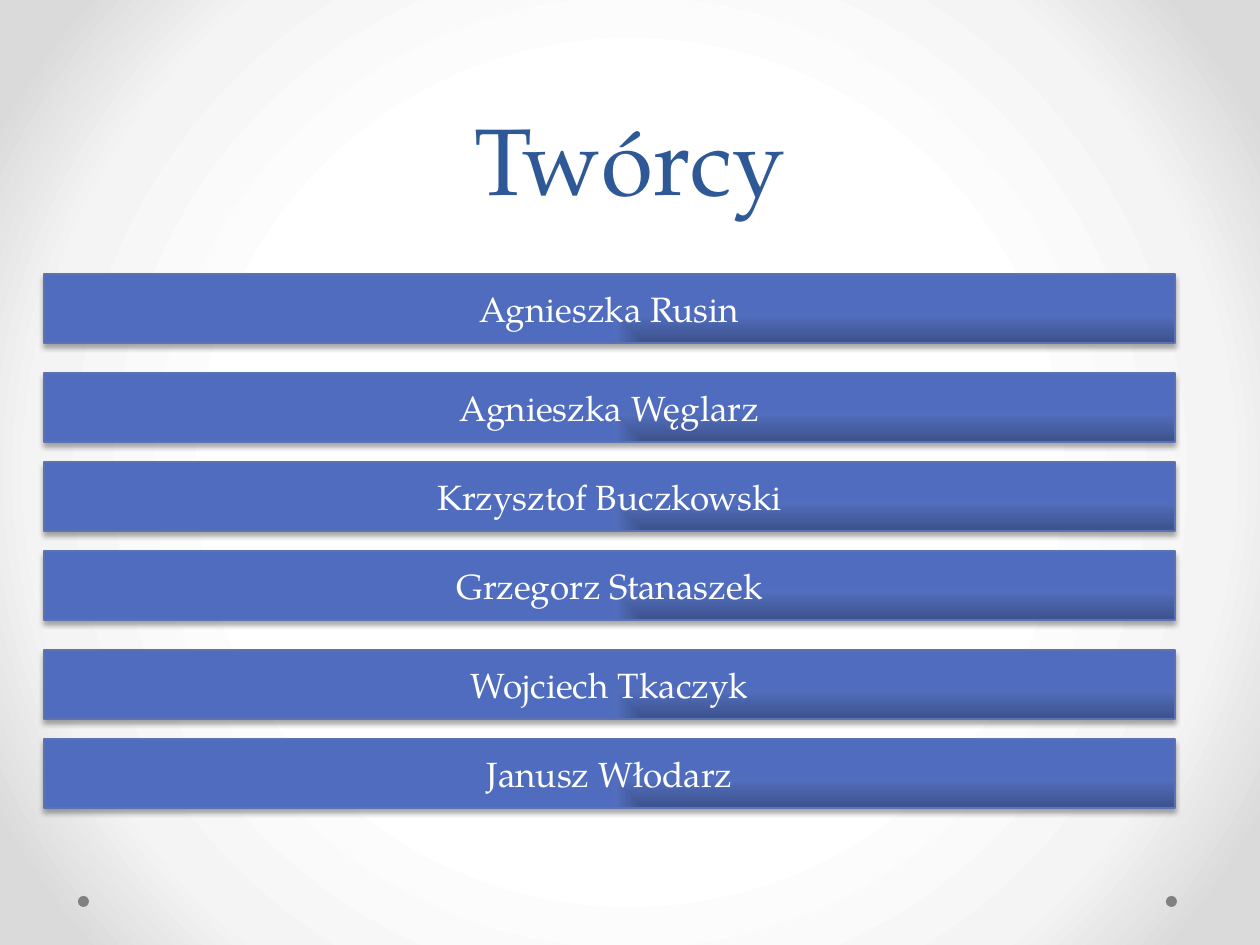
from lxml import etree
from pptx import Presentation
from pptx.dml.color import RGBColor
from pptx.enum.shapes import MSO_SHAPE
from pptx.enum.text import MSO_ANCHOR, PP_ALIGN
from pptx.oxml.ns import qn
from pptx.util import Emu, Pt

SCALE = 914400 // 126


def px(length):
    return Emu(length * SCALE)


def rgb(value):
    return RGBColor.from_string(value)


def child(parent, tag, **attributes):
    return etree.SubElement(parent, qn(tag), {k: str(v) for k, v in attributes.items()})


class Deck:
    FONT = "TeX Gyre Pagella"
    BACKDROP = [(50, "FFFFFF"), (76, "F4F4F4"), (92, "DADADA")]
    BAR = [(7, "3E5490"), (80, "516DBB"), (100, "4F6CBE")]

    def __init__(self):
        self.prs = Presentation()
        self.prs.slide_width, self.prs.slide_height = px(1260), px(945)
        self.slide = self.prs.slides.add_slide(self.prs.slide_layouts[5])

    def gradient(self, fill, owner, stops, path, focus):
        fill.gradient()
        grad = owner.find(".//" + qn("a:gradFill"))
        for old in list(grad):
            grad.remove(old)
        stop_list = child(grad, "a:gsLst")
        for position, color in stops:
            stop = child(stop_list, "a:gs", pos=position * 1000)
            child(stop, "a:srgbClr", val=color)
        path_node = child(grad, "a:path", path=path)
        child(path_node, "a:fillToRect", **{k: v * 1000 for k, v in zip("ltrb", focus)})

    def background(self):
        self.gradient(self.slide.background.fill, self.slide.element,
                      self.BACKDROP, "circle", (50, 50, 50, 50))

    def text(self, shape, words, size, color, anchor):
        frame = shape.text_frame
        frame.word_wrap = True
        frame.vertical_anchor = anchor
        paragraph = frame.paragraphs[0]
        paragraph.alignment = PP_ALIGN.CENTER
        run = paragraph.add_run()
        run.text = words
        run.font.size, run.font.name = Pt(size), self.FONT
        run.font.color.rgb = rgb(color)
        return paragraph

    def title(self, words, x, y, w, h):
        title = self.slide.shapes.title
        title.left, title.top, title.width, title.height = map(px, (x, y, w, h))
        self.text(title, words, 54, "2F5897", MSO_ANCHOR.BOTTOM).line_spacing = Pt(58)

    def shape(self, kind, x, y, w, h):
        shape = self.slide.shapes.add_shape(kind, *map(px, (x, y, w, h)))
        shape.shadow.inherit = False
        return shape

    def dot(self, x, y, size):
        dot = self.shape(MSO_SHAPE.OVAL, x, y, size, size)
        dot.fill.solid()
        dot.fill.fore_color.rgb = rgb("808080")
        dot.line.fill.background()

    def bar(self, words, x, y, w, h):
        bar = self.shape(MSO_SHAPE.RECTANGLE, x, y, w, h)
        self.gradient(bar.fill, bar.element, self.BAR, "rect", (100, 100, 0, 0))
        bar.line.color.rgb = rgb("5C72B2")
        bar.line.width = Pt(0.75)
        shadow = child(bar.element.find(".//" + qn("a:effectLst")), "a:outerShdw",
                       blurRad=Pt(3.1), dist=Pt(1.8), dir=90 * 60000, rotWithShape=0)
        child(child(shadow, "a:srgbClr", val="000000"), "a:alpha", val=35000)
        self.text(bar, words, 20, "FFFFFF", MSO_ANCHOR.MIDDLE)


deck = Deck()

# Backdrop with its two corner dots
deck.background()
for dot_x in (1166, 78):
    deck.dot(dot_x, 896, 11)

# Heading
deck.title("Twórcy", 63, 0, 1134, 221)

# One bar per author, in three groups: a wider step opens each new group
GROUPS = [
    ["Agnieszka Rusin"],
    ["Agnieszka Węglarz", "Krzysztof Buczkowski", "Grzegorz Stanaszek"],
    ["Wojciech Tkaczyk", "Janusz Włodarz"],
]
STEP, GROUP_GAP = 89, 10
top = 274
for group in GROUPS:
    for author in group:
        deck.bar(author, 44, top, 1131, 69)
        top += STEP
    top += GROUP_GAP

deck.prs.save("out.pptx")
